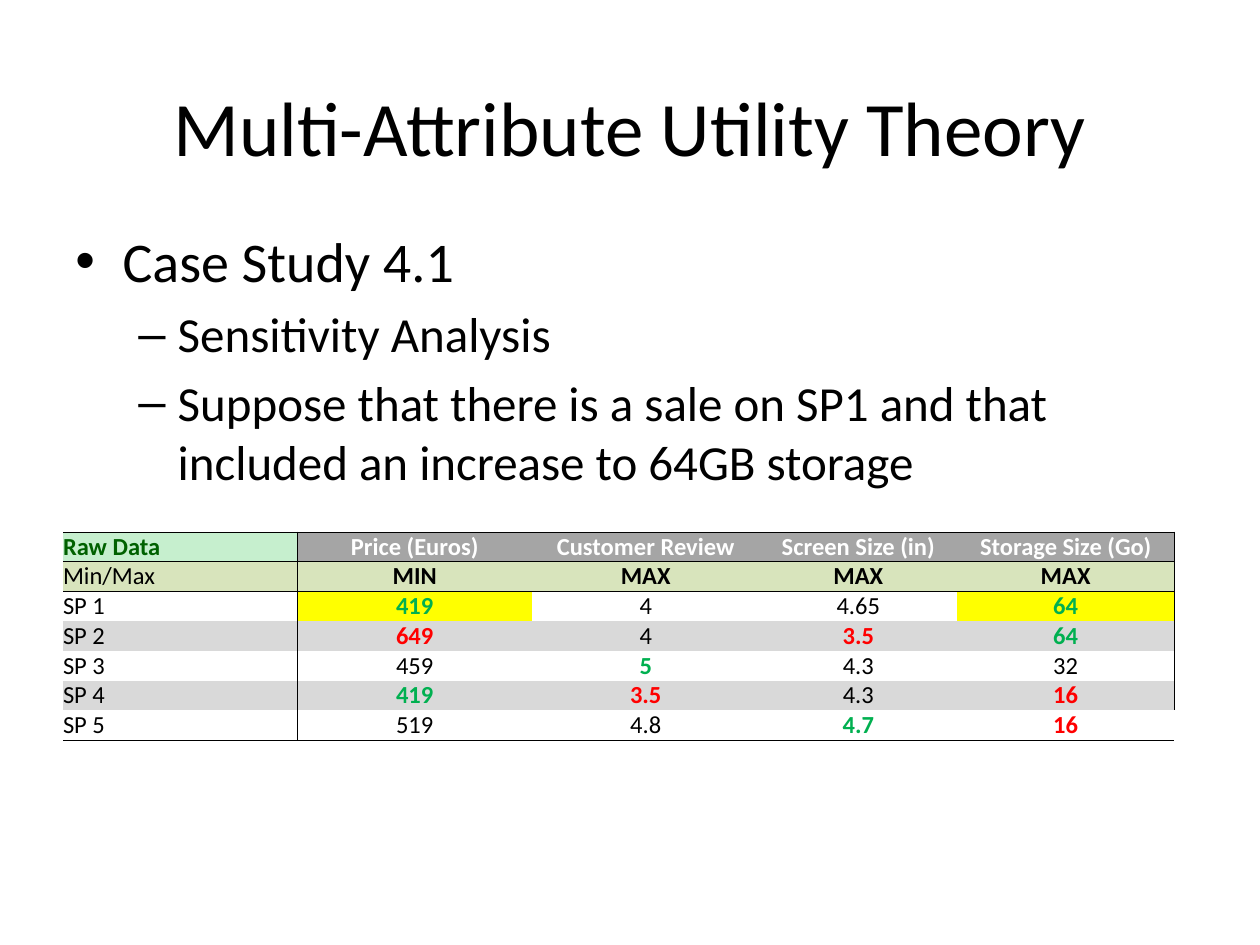
import pptx
import pptx.util
import pptx.dml.color
import pptx.enum.text
import pptx.oxml.ns
from lxml import etree

Pt = pptx.util.Pt
Align = pptx.enum.text.PP_ALIGN
Anchor = pptx.enum.text.MSO_ANCHOR
INK = {
    "black": "000000", "white": "FFFFFF", "forest": "006100", "mint": "C6EFCE",
    "grey": "A5A5A5", "olive": "D8E4BC", "yellow": "FFFF00", "band": "D9D9D9",
    "best": "00B050", "worst": "FF0000",
}
MARKS = {"+": "best", "-": "worst"}
ROWS = [
    ["Raw Data", "Price (Euros)", "Customer Review", "Screen Size (in)", "Storage Size (Go)"],
    ["Min/Max", "MIN", "MAX", "MAX", "MAX"],
    ["SP 1", "419+", "4", "4.65", "64+"],
    ["SP 2", "649-", "4", "3.5-", "64+"],
    ["SP 3", "459", "5+", "4.3", "32"],
    ["SP 4", "419+", "3.5-", "4.3", "16-"],
    ["SP 5", "519", "4.8", "4.7+", "16-"],
]
SALE = [(2, 1), (2, 4)]


def shade(name):
    return pptx.dml.color.RGBColor.from_string(INK[name])


def add(parent, tag, **attrs):
    return etree.SubElement(parent, pptx.oxml.ns.qn(tag), **attrs)


class Deck:
    """Style and current slide, with a method for each kind of element."""

    def __init__(self, face):
        self.face = face
        self.file = pptx.Presentation()
        self.file.slide_width, self.file.slide_height = Pt(720), Pt(540)
        self.slide = self.file.slides.add_slide(self.file.slide_layouts[6])

    def style(self, para, size, ink="black", bold=False):
        font = para.font
        font.name, font.size, font.bold = self.face, Pt(size), bold
        font.color.rgb = shade(ink)

    def frame(self, left, top, width, height, anchor):
        box = self.slide.shapes.add_textbox(Pt(left), Pt(top), Pt(width), Pt(height))
        box.text_frame.word_wrap = True
        box.text_frame.vertical_anchor = anchor
        return box.text_frame

    def title(self, text, *area):
        para = self.frame(*area, Anchor.MIDDLE).paragraphs[0]
        para.text, para.alignment = text, Align.CENTER
        self.style(para, 44)

    def list(self, items, *area):
        frame = self.frame(*area, Anchor.TOP)
        forms = [("•", 32, 27, 27), ("–", 28, 58.5, 22.5)]
        for num, (level, text) in enumerate(items):
            para = frame.add_paragraph() if num else frame.paragraphs[0]
            mark, size, left, hang = forms[level]
            para.text, para.level = text, level
            if num:
                para.space_before = Pt(size * 0.2)
            props = para._p.get_or_add_pPr()
            props.set("marL", str(Pt(left)))
            props.set("indent", str(-Pt(hang)))
            add(props, "a:buFont", typeface="Arial")
            add(props, "a:buChar", char=mark)
            self.style(para, size)

    def edges(self, cell, sides):
        props = cell._tc.get_or_add_tcPr()
        for side in "LRTB":
            line = add(props, "a:ln" + side, w=str(Pt(0.5)))
            if side in sides:
                add(add(line, "a:solidFill"), "a:srgbClr", val=INK["black"])
            else:
                add(line, "a:noFill")

    def cell(self, cell, text, ink, bold, fill, sides, align):
        self.edges(cell, sides)
        cell.margin_left = cell.margin_right = cell.margin_top = cell.margin_bottom = 0
        cell.vertical_anchor = Anchor.BOTTOM
        if fill:
            cell.fill.solid()
            cell.fill.fore_color.rgb = shade(fill)
        else:
            cell.fill.background()
        para = cell.text_frame.paragraphs[0]
        para.text, para.alignment = text, align
        self.style(para, 14, ink, bold)

    def table(self, rows, left, top, widths, height):
        grid = self.slide.shapes.add_table(
            len(rows), len(widths), Pt(left), Pt(top),
            Pt(sum(widths)), Pt(height * len(rows))).table
        grid.first_row = grid.horz_banding = False
        for col, width in zip(grid.columns, widths):
            col.width = Pt(width)
        last = len(rows) - 1
        for r, row in enumerate(rows):
            grid.rows[r].height = Pt(height)
            for c, text in enumerate(row):
                ink = MARKS.get(text[-1], "black")
                fill = "band" if r in (3, 5) else None
                if r == 0:
                    ink, fill = ("white", "grey") if c else ("forest", "mint")
                elif r == 1:
                    fill = "olive"
                elif (r, c) in SALE:
                    fill = "yellow"
                sides = "T" if r < 3 else ""
                sides += "B" if r in (0, 1, last) else ""
                sides += "L" if c == 1 else ""
                sides += "R" if c == 0 or (c == 4 and r < last) else ""
                bold = ink != "black" or (r == 1 and c > 0)
                align = Align.CENTER if c else Align.LEFT
                self.cell(grid.cell(r, c), text.rstrip("+-"), ink, bold, fill, sides, align)


def main():
    deck = Deck("Calibri")
    deck.title("Multi-Attribute Utility Theory", 36, 27, 648, 90)
    deck.list([
        (0, "Case Study 4.1"),
        (1, "Sensitivity Analysis"),
        (1, "Suppose that there is a sale on SP1 and that included an increase to 64GB storage"),
    ], 36, 126, 648, 356)
    deck.table(ROWS, 36, 304, [134, 134, 130, 113, 124], 17)
    deck.file.save("out.pptx")


if __name__ == "__main__":
    main()
